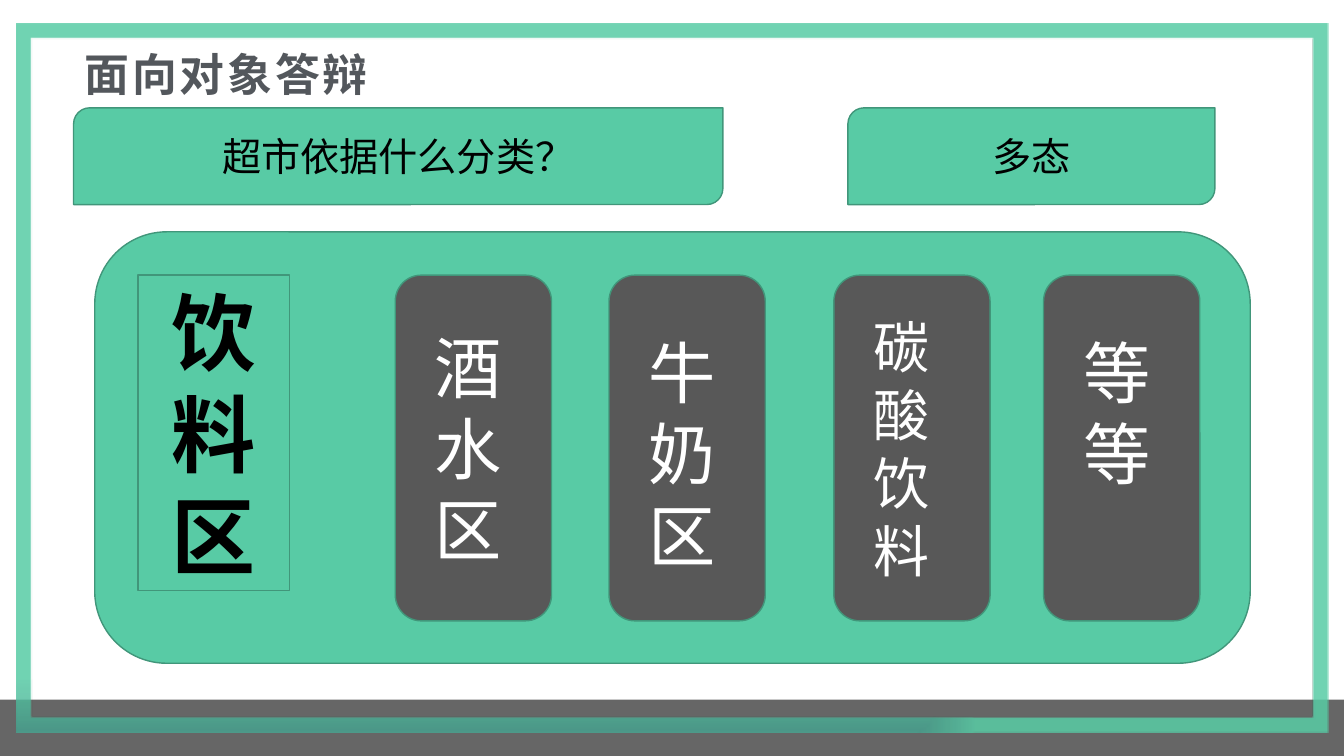
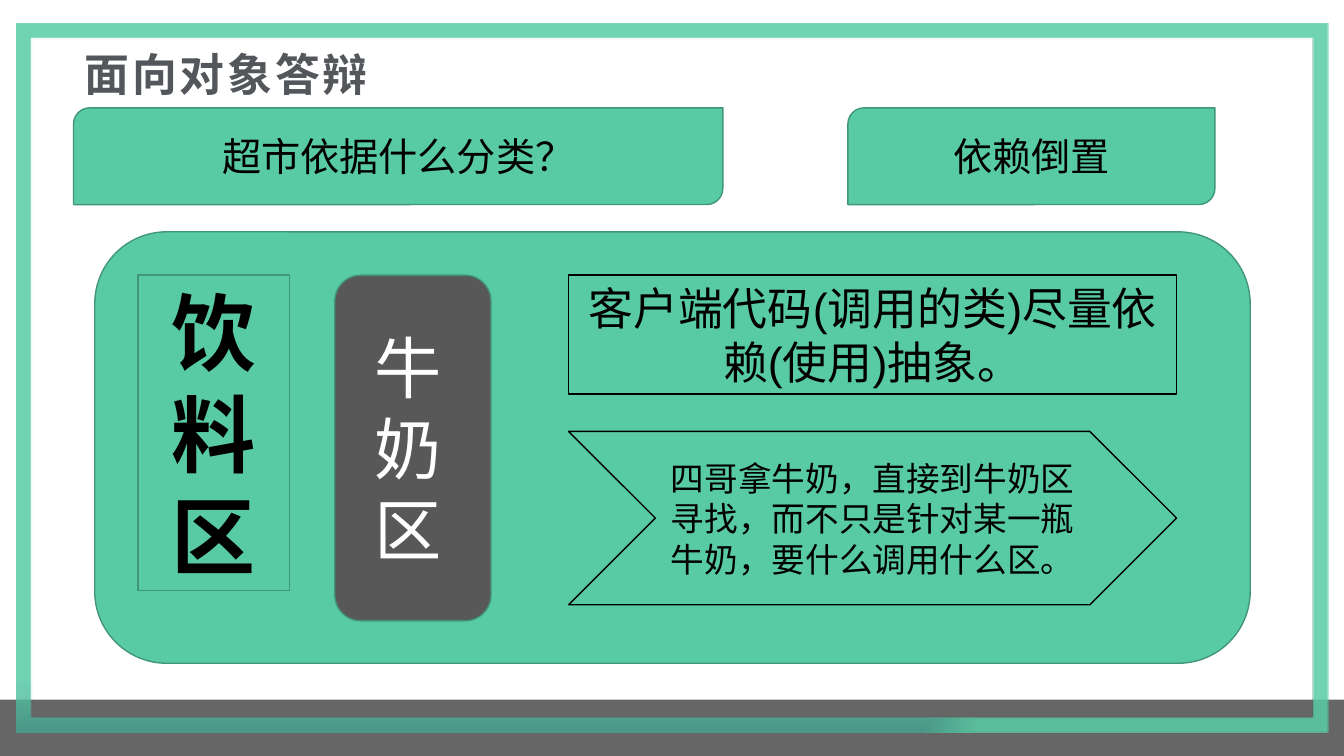
import lxml.etree
import pptx
import pptx.util
import pptx.dml.color
import pptx.enum.shapes
import pptx.enum.text
import pptx.oxml
import pptx.oxml.ns

Inches = pptx.util.Inches
Pt = pptx.util.Pt
qn = pptx.oxml.ns.qn
SHAPE = pptx.enum.shapes.MSO_SHAPE
ANCHOR = pptx.enum.text.MSO_ANCHOR
ALIGN = pptx.enum.text.PP_ALIGN
AUTO_SIZE = pptx.enum.text.MSO_AUTO_SIZE

SLIDE_W, SLIDE_H = 13.33, 7.5
COLORS = {
    "green": "58CBA5",
    "green_edge": "41967A",
    "card": "585858",
    "band": "262626",
    "navy": "042E50",
    "title_dark": "53575C",
    "title_light": "C5C7CA",
    "black": "000000",
    "white": "FFFFFF",
}
HEADING_FONT = "Noto Sans CJK SC"
TITLE_FONT = "Noto Sans CJK JP"
BODY_FONT = "Arial"
BODY_LEADING = 1.21

SHELF_TOP = 2.73
CARD_W, CARD_H = 1.55, 3.43
LABEL_W = 0.96
NOTE_LEFT, NOTE_W = 5.64, 6.03

HEADING = {"size": 28, "font": HEADING_FONT, "leading": None}
CENTERED = {"align": ALIGN.CENTER}
MIDDLE = {"vertical_anchor": ANCHOR.MIDDLE}
GROW = {"vertical_anchor": ANCHOR.TOP, "auto_size": AUTO_SIZE.SHAPE_TO_FIT_TEXT}


def rgb(color):
    return pptx.dml.color.RGBColor.from_string(COLORS[color])


def box(left, top, width, height):
    return [Inches(length) for length in (left, top, width, height)]


def apply(target, formats):
    for attribute, value in formats.items():
        setattr(target, attribute, value)


def write(shape, text, size, color="black", font=BODY_FONT, bold=False,
          align=ALIGN.LEFT, leading=BODY_LEADING, frame_format=MIDDLE):
    """Put one styled paragraph into a shape and return its run."""
    frame = shape.text_frame
    apply(frame, {"word_wrap": True, **frame_format})
    paragraph = frame.paragraphs[0]
    paragraph.alignment = align
    if leading:
        paragraph.line_spacing = Pt(round(size * leading, 2))
    run = paragraph.add_run()
    run.text = text
    apply(run.font, {"size": Pt(size), "bold": bold, "name": font})
    run.font.color.rgb = rgb(color)
    east_asian = lxml.etree.SubElement(run._r.get_or_add_rPr(), qn("a:ea"))
    east_asian.set("typeface", font)
    return run


def add_panel(slide, preset, place, fill="green", edge="green_edge"):
    panel = slide.shapes.add_shape(preset, *box(*place))
    panel.shadow.inherit = False
    panel.fill.solid()
    panel.fill.fore_color.rgb = rgb(fill)
    if edge:
        panel.line.color.rgb = rgb(edge)
        panel.line.width = Pt(1)
    else:
        panel.line.fill.background()
    return panel


def add_bottom_band(slide):
    band = add_panel(slide, SHAPE.RECTANGLE, (0, 6.94, SLIDE_W, 0.56), "band", None)
    color = band._element.spPr.find(".//" + qn("a:srgbClr"))
    lxml.etree.SubElement(color, qn("a:alpha")).set("val", "70000")


def add_border(slide):
    """Draw the hollow frame with its gradient from the lower left corner."""
    left, top, right, bottom = (Inches(edge) for edge in (0.16, 0.23, 13.18, 7.27))
    rim = Inches(0.15)
    outline = slide.shapes.build_freeform(left + rim, top + rim)
    outline.add_line_segments([
        (left + rim, bottom - rim), (right - rim, bottom - rim), (right - rim, top + rim)])
    outline.move_to(left, top)
    outline.add_line_segments([(right, top), (right, bottom), (left, bottom)])
    border = outline.convert_to_shape()
    border.shadow.inherit = False
    border.line.fill.background()
    border.fill.background()
    stops = "".join(
        f'<a:gs pos="{position}000"><a:srgbClr val="{COLORS[color]}">'
        f'<a:alpha val="{alpha}000"/></a:srgbClr></a:gs>'
        for position, color, alpha in ((38, "navy", 52), (100, "green", 85)))
    gradient = pptx.oxml.parse_xml(
        f'<a:gradFill {pptx.oxml.ns.nsdecls("a")} rotWithShape="1">'
        f'<a:gsLst>{stops}</a:gsLst><a:path path="rect">'
        '<a:fillToRect t="100000" r="100000"/></a:path></a:gradFill>')
    properties = border._element.spPr
    properties.replace(properties.find(qn("a:noFill")), gradient)


def add_title(slide, text):
    title = slide.shapes.add_textbox(*box(0.73, 0.48, 11.87, 0.48))
    insets = {
        "vertical_anchor": ANCHOR.TOP,
        "margin_left": Inches(0.11),
        "margin_right": Inches(0.08),
        "margin_top": Inches(0.04),
        "margin_bottom": Inches(0.04),
    }
    run = write(title, text, 32, "title_dark", TITLE_FONT, True,
                leading=None, frame_format=insets)
    title.text_frame.paragraphs[0].line_spacing = 0.9
    run._r.get_or_add_rPr().set("spc", "200")
    fill = run.font.fill
    fill.gradient()
    fill.gradient_angle = 270
    for stop, position, color in zip(
            fill.gradient_stops, (0.21, 0.88), ("title_dark", "title_light")):
        stop.position = position
        stop.color.rgb = rgb(color)


def add_heading(slide, left, width, text):
    heading = add_panel(slide, SHAPE.ROUND_2_DIAG_RECTANGLE, (left, 1.07, width, 0.96))
    write(heading, text, **HEADING, **CENTERED)


def add_card(slide, left, label_top, text, size=48):
    """Add a dark card with its label stacked one character to a line."""
    add_panel(slide, SHAPE.ROUNDED_RECTANGLE, (left, SHELF_TOP, CARD_W, CARD_H), "card")
    label_height = 0.1 + len(text) * size * BODY_LEADING / 72
    label = slide.shapes.add_textbox(
        *box(left + (CARD_W - LABEL_W) / 2, label_top, LABEL_W, label_height))
    write(label, text, size, "white", frame_format=GROW)


def add_topic_slide(deck, topic):
    """Add a slide with everything that both topics share."""
    slide = deck.slides.add_slide(deck.slide_layouts[6])
    add_bottom_band(slide)
    add_border(slide)
    add_title(slide, "面向对象答辩")
    add_heading(slide, 0.73, 6.44, "超市依据什么分类？")
    add_heading(slide, 8.41, 3.64, topic)
    add_panel(slide, SHAPE.ROUNDED_RECTANGLE, (0.94, 2.3, 11.46, 4.28))
    area = add_panel(slide, SHAPE.RECTANGLE, (1.37, SHELF_TOP, 1.5, 3.13))
    write(area, "饮料区", 60, bold=True, frame_format=GROW, **CENTERED)
    return slide


def add_polymorphism(deck):
    slide = add_topic_slide(deck, "多态")
    for card in ((3.92, 3.18, "酒水区"), (6.04, 3.23, "牛奶区"),
                 (8.27, 3.05, "碳酸饮料", 40), (10.35, 3.23, "等等")):
        add_card(slide, *card)


def add_dependency_inversion(deck):
    slide = add_topic_slide(deck, "依赖倒置")
    add_card(slide, 3.32, 3.18, "牛奶区")
    principle = add_panel(
        slide, SHAPE.RECTANGLE, (NOTE_LEFT, SHELF_TOP, NOTE_W, 1.18), edge="black")
    write(principle, "客户端代码(调用的类)尽量依赖(使用)抽象。", 32,
          frame_format=GROW, **CENTERED)
    example = add_panel(
        slide, SHAPE.CHEVRON, (NOTE_LEFT, 4.28, NOTE_W, 1.72), edge="black")
    write(example, "四哥拿牛奶，直接到牛奶区寻找，而不只是针对某一瓶牛奶，要什么调用什么区。",
          24, **CENTERED)


def main():
    deck = pptx.Presentation()
    apply(deck, {"slide_width": Inches(SLIDE_W), "slide_height": Inches(SLIDE_H)})
    add_polymorphism(deck)
    add_dependency_inversion(deck)
    deck.save("out.pptx")


if __name__ == "__main__":
    main()
